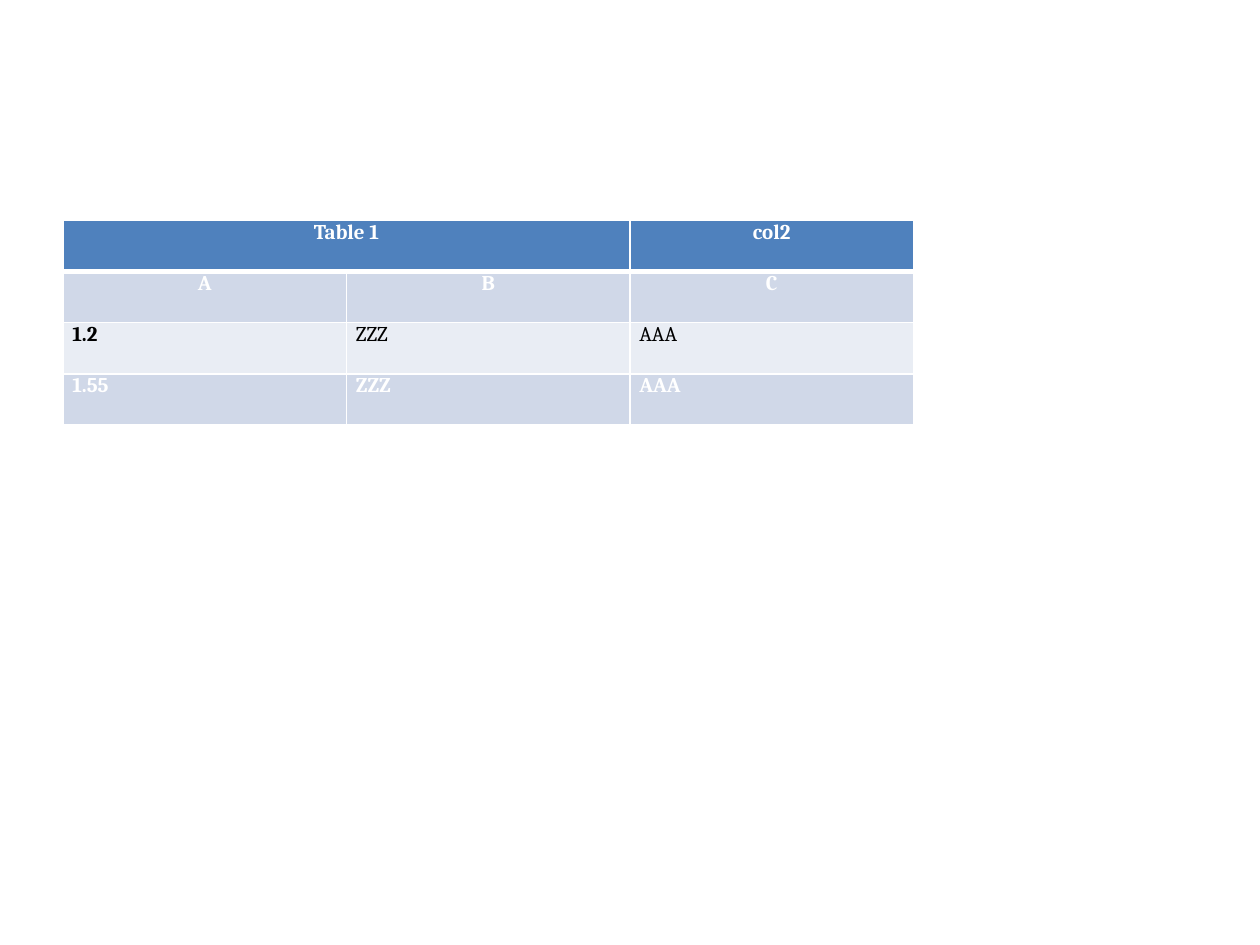
from lxml.etree import SubElement
from pptx import Presentation
from pptx.dml.color import RGBColor
from pptx.enum.text import PP_ALIGN
from pptx.oxml.ns import qn
from pptx.util import Pt

WHITE, BLACK = "FFFFFF", "000000"
BLUE, DARK_BAND, LIGHT_BAND = "4F81BD", "D0D8E8", "E9EDF4"
COLUMN_WIDTH, ROW_HEIGHT = 162, 29.2
ROWS = [
    (("Table 1", "", "col2"), BLUE, WHITE, PP_ALIGN.CENTER, (True, True, True)),
    (("A", "B", "C"), DARK_BAND, WHITE, PP_ALIGN.CENTER, (True, True, True)),
    (("1.2", "ZZZ", "AAA"), LIGHT_BAND, BLACK, PP_ALIGN.LEFT, (True, False, False)),
    (("1.55", "ZZZ", "AAA"), DARK_BAND, WHITE, PP_ALIGN.LEFT, (True, True, True)),
]


def color(value):
    return RGBColor.from_string(value)


def set_borders(cell, top, bottom):
    properties = cell._tc.get_or_add_tcPr()
    for side, width in (("L", 1), ("R", 1), ("T", top), ("B", bottom)):
        line = SubElement(properties, qn(f"a:ln{side}"), w=str(Pt(width)))
        fill = SubElement(line, qn("a:solidFill"))
        SubElement(fill, qn("a:srgbClr"), val=WHITE)


def set_fill(cell, value):
    cell.fill.solid()
    cell.fill.fore_color.rgb = color(value)


def set_text(cell, text, font_color, alignment, bold):
    cell.margin_left = cell.margin_right = Pt(5.4)
    cell.margin_top = cell.margin_bottom = Pt(0)
    cell.text_frame.text = text
    para = cell.text_frame.paragraphs[0]
    para.alignment = alignment
    para.font.size = Pt(12)
    for span in para.runs:
        span.font.name = "Cambria"
        span.font.size = Pt(12)
        span.font.bold = bold
        span.font.color.rgb = color(font_color)


def add_data_table(page):
    column_count = len(ROWS[0][0])
    frame = page.shapes.add_table(
        len(ROWS), column_count, Pt(36), Pt(126),
        Pt(COLUMN_WIDTH * column_count), Pt(ROW_HEIGHT * len(ROWS)))
    table = frame.table
    for column in table.columns:
        column.width = Pt(COLUMN_WIDTH)
    for row_index, (texts, fill, font_color, alignment, bolds) in enumerate(ROWS):
        table.rows[row_index].height = Pt(ROW_HEIGHT)
        for column_index, (text, bold) in enumerate(zip(texts, bolds)):
            cell = table.cell(row_index, column_index)
            set_borders(cell, 3 if row_index == 1 else 1, 3 if row_index == 0 else 1)
            set_fill(cell, fill)
            set_text(cell, text, font_color, alignment, bold)
    table.cell(0, 0).merge(table.cell(0, 1))


def main():
    deck = Presentation()
    deck.slide_width, deck.slide_height = Pt(720), Pt(540)
    page = deck.slides.add_slide(deck.slide_layouts[6])
    add_data_table(page)
    deck.save("out.pptx")


if __name__ == "__main__":
    main()
